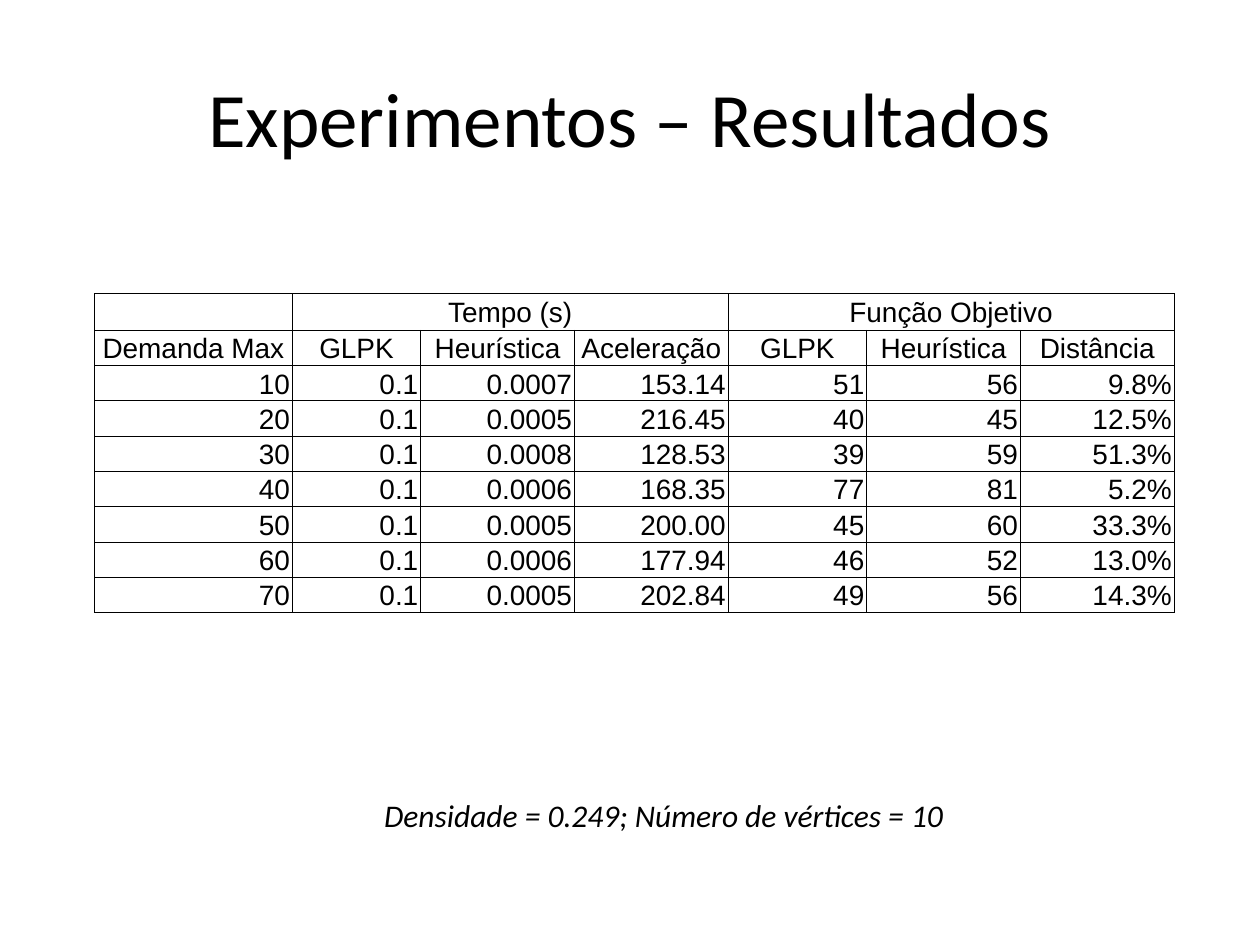
from lxml import etree
from pptx import Presentation
from pptx import util as u
from pptx.dml.color import RGBColor
from pptx.enum import text
from pptx.oxml import ns

BLACK = RGBColor(0, 0, 0)
HEADINGS = [
    ["", "Tempo (s)", "", "", "Função Objetivo", "", ""],
    ["Demanda Max", "GLPK", "Heurística", "Aceleração", "GLPK", "Heurística", "Distância"],
]
RESULTS = [
    ["10", "0.1", "0.0007", "153.14", "51", "56", "9.8%"],
    ["20", "0.1", "0.0005", "216.45", "40", "45", "12.5%"],
    ["30", "0.1", "0.0008", "128.53", "39", "59", "51.3%"],
    ["40", "0.1", "0.0006", "168.35", "77", "81", "5.2%"],
    ["50", "0.1", "0.0005", "200.00", "45", "60", "33.3%"],
    ["60", "0.1", "0.0006", "177.94", "46", "52", "13.0%"],
    ["70", "0.1", "0.0005", "202.84", "49", "56", "14.3%"],
]
COLUMN_WIDTHS = [1.57, 1.02, 1.22, 1.22, 1.1, 1.22, 1.22]
ROW_HEIGHT = 0.28
CELL_FORMAT = {
    "margin_left": u.Inches(0.02),
    "margin_right": u.Inches(0.02),
    "margin_top": u.Inches(0.02),
    "margin_bottom": 0,
    "vertical_anchor": text.MSO_ANCHOR.MIDDLE,
}


def write(para, words, **font_values):
    span = para.add_run()
    span.text = words
    for name, value in font_values.items():
        setattr(span.font, name, value)
    span.font.color.rgb = BLACK


def add_borders(cell):
    properties = cell._tc.get_or_add_tcPr()
    for position, side in enumerate(["lnL", "lnR", "lnT", "lnB"]):
        line = etree.Element(ns.qn("a:" + side), w=str(u.Pt(0.5)))
        fill = etree.SubElement(line, ns.qn("a:solidFill"))
        etree.SubElement(fill, ns.qn("a:srgbClr"), val=str(BLACK))
        properties.insert(position, line)


deck = Presentation()
deck.slide_width, deck.slide_height = u.Inches(10), u.Inches(7.5)
page = deck.slides.add_slide(deck.slide_layouts[5])

title = page.shapes.title
title_format = {
    "left": u.Inches(0.5), "top": u.Inches(0.3),
    "width": u.Inches(9), "height": u.Inches(1.25),
}
for name, value in title_format.items():
    setattr(title, name, value)
title.text_frame.vertical_anchor = text.MSO_ANCHOR.MIDDLE
para = title.text_frame.paragraphs[0]
para.alignment = text.PP_ALIGN.CENTER
write(para, "Experimentos – Resultados", name="Calibri", size=u.Pt(44))

rows = HEADINGS + RESULTS
frame = page.shapes.add_table(
    len(rows), len(COLUMN_WIDTHS), u.Inches(0.75), u.Inches(2.33),
    u.Inches(sum(COLUMN_WIDTHS)), u.Inches(ROW_HEIGHT * len(rows)))
table = frame.table
table.first_row = table.horz_banding = False
for column, width in zip(table.columns, COLUMN_WIDTHS):
    column.width = u.Inches(width)

for row_index, values in enumerate(rows):
    table.rows[row_index].height = u.Inches(ROW_HEIGHT)
    is_heading = row_index < len(HEADINGS)
    for column_index, value in enumerate(values):
        cell = table.cell(row_index, column_index)
        for name, setting in CELL_FORMAT.items():
            setattr(cell, name, setting)
        cell.fill.background()
        add_borders(cell)
        para = cell.text_frame.paragraphs[0]
        para.alignment = text.PP_ALIGN.CENTER if is_heading else text.PP_ALIGN.RIGHT
        if value:
            write(para, value, name="Arial", size=u.Pt(16))
        else:
            etree.SubElement(para._p, ns.qn("a:endParaRPr"), sz="1600")

for first in (1, 4):
    table.cell(0, first).merge(table.cell(0, first + 2))

box = page.shapes.add_textbox(u.Inches(2.95), u.Inches(6.27), u.Inches(4.75), u.Inches(0.4))
box.text_frame.word_wrap = False
box.text_frame.auto_size = text.MSO_AUTO_SIZE.SHAPE_TO_FIT_TEXT
write(box.text_frame.paragraphs[0], "Densidade = 0.249; Número de vértices = 10",
      name="Calibri", size=u.Pt(18), italic=True)

deck.save("out.pptx")
